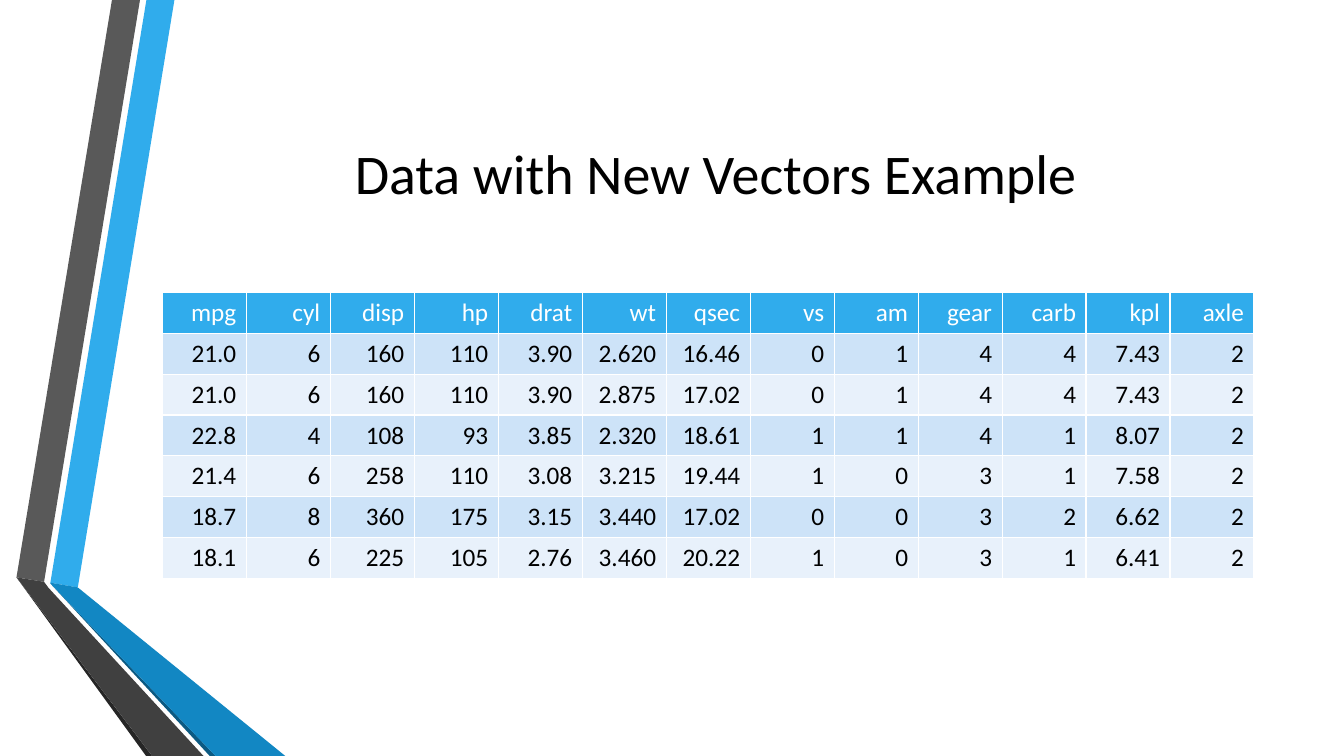
from pptx import Presentation
from pptx.util import Pt
from pptx.dml.color import RGBColor as RGB
from pptx.enum.text import MSO_ANCHOR as Anchor, PP_ALIGN as Align

HUES = {
    "sky": "30ACEC", "blue": "1287C3", "navy": "0C5A82",
    "gray": "595959", "coal": "404040", "soot": "262626",
    "pale": "CDE3F8", "mist": "E8F1FB",
    "black": "000000", "white": "FFFFFF",
}
FACE = "Calibri"

# Ribbon outlines in points, from back to front
BANDS = [
    ("sky", [(36, 416.2), (55.6, 419.6), (124.6, 0), (104.6, 0)]),
    ("gray", [(100, 0), (80, 0), (11.8, 412.4), (31.5, 415.6)]),
    ("soot", [(11.8, 412.4), (104.4, 540), (108.7, 540)]),
    ("navy", [(36, 416.8), (149.8, 540), (154, 540)]),
    ("blue", [(36, 416.2), (36, 416.8), (154, 540), (203.8, 540),
              (55.6, 419.6)]),
    ("coal", [(145.4, 540), (34.6, 419.8), (31.5, 415.6), (11.8, 412.4),
              (108.7, 540)]),
]

DATA = [line.split() for line in """
mpg cyl disp hp drat wt qsec vs am gear carb kpl axle
21.0 6 160 110 3.90 2.620 16.46 0 1 4 4 7.43 2
21.0 6 160 110 3.90 2.875 17.02 0 1 4 4 7.43 2
22.8 4 108 93 3.85 2.320 18.61 1 1 4 1 8.07 2
21.4 6 258 110 3.08 3.215 19.44 1 0 3 1 7.58 2
18.7 8 360 175 3.15 3.440 17.02 0 0 3 2 6.62 2
18.1 6 225 105 2.76 3.460 20.22 1 0 3 1 6.41 2
""".strip().splitlines()]


def hue(name):
    """Return the named colour."""
    return RGB.from_string(HUES[name])


def style(para, size, color, align):
    """Set the font and alignment of a paragraph."""
    font = para.font
    font.name, font.size, font.bold = FACE, Pt(size), False
    font.color.rgb = hue(color)
    para.alignment = align


def add_bands(slide, left, top):
    """Draw the folded ribbons from the given corner."""
    for color, path in BANDS:
        first, *rest = [(Pt(left + x), Pt(top + y)) for x, y in path]
        pen = slide.shapes.build_freeform(*first)
        pen.add_line_segments(rest, close=True)
        band = pen.convert_to_shape()
        band.shadow.inherit = False
        band.fill.solid()
        band.fill.fore_color.rgb = hue(color)
        band.line.fill.background()


def add_title(slide, text, left, top, width, height):
    """Place the centred title in its box."""
    box = slide.shapes.add_textbox(Pt(left), Pt(top), Pt(width), Pt(height))
    frame = box.text_frame
    frame.word_wrap = True
    frame.vertical_anchor = Anchor.MIDDLE
    frame.text = text
    style(frame.paragraphs[0], 40, "black", Align.CENTER)


def add_grid(slide, data, left, top, width, height):
    """Fill the box with a table of equal rows and columns."""
    rows, cols = len(data), len(data[0])
    grid = slide.shapes.add_table(
        rows, cols, Pt(left), Pt(top), Pt(width), Pt(height)).table
    for col in grid.columns:
        col.width = Pt(width / cols)
    for r, line in enumerate(data):
        grid.rows[r].height = Pt(height / rows)
        back = "sky" if r == 0 else "pale" if r % 2 else "mist"
        for c, text in enumerate(line):
            cell = grid.cell(r, c)
            cell.text = text
            cell.fill.solid()
            cell.fill.fore_color.rgb = hue(back)
            ink = "black" if r else "white"
            style(cell.text_frame.paragraphs[0], 18, ink, Align.RIGHT)


deck = Presentation()
deck.slide_width, deck.slide_height = Pt(960), Pt(540)
slide = deck.slides.add_slide(deck.slide_layouts[6])
add_bands(slide, 0, 0)
add_title(slide, "Data with New Vectors Example", 116.6, 54, 789, 138)
add_grid(slide, DATA, 116, 209, 780, 204)
deck.save("out.pptx")
